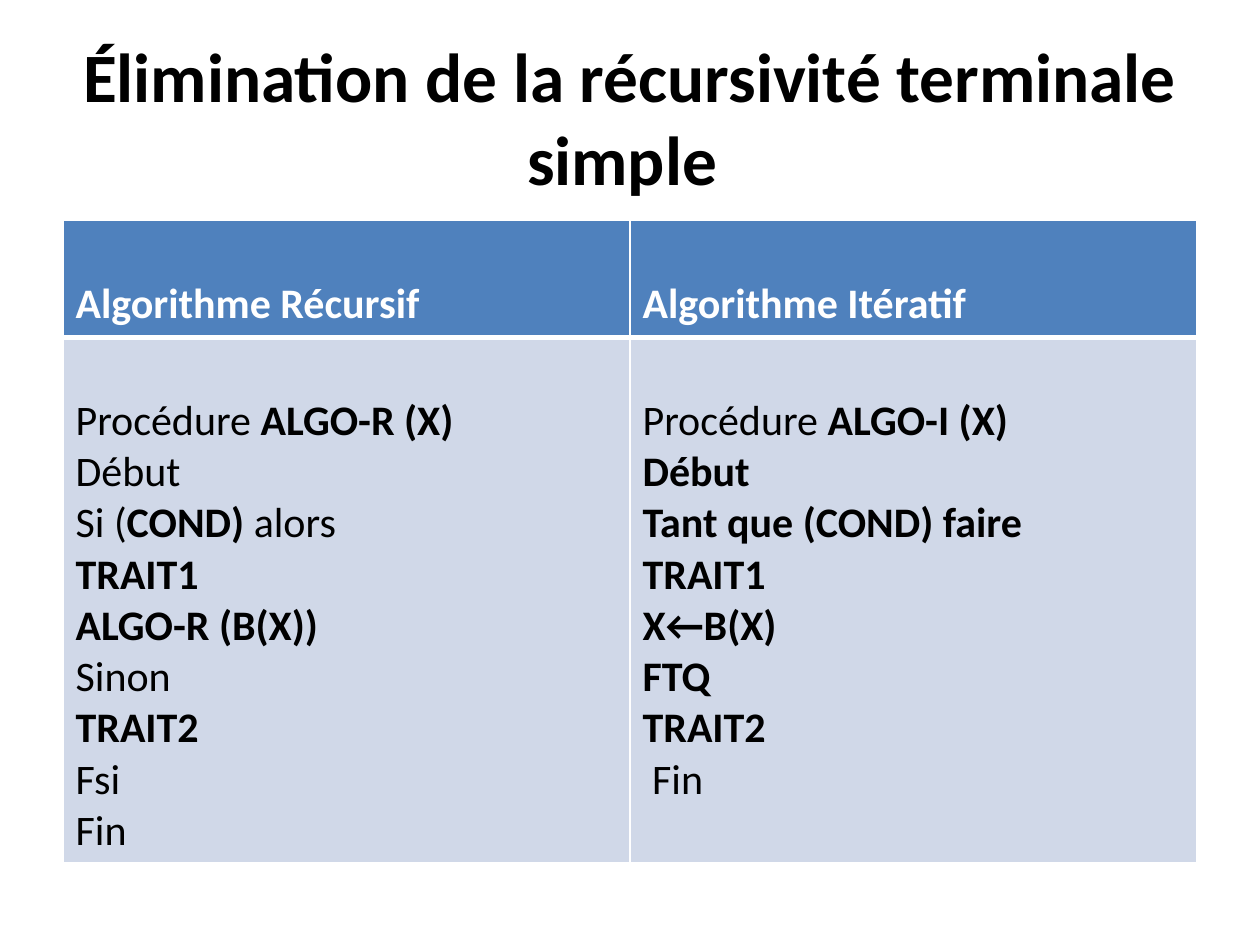
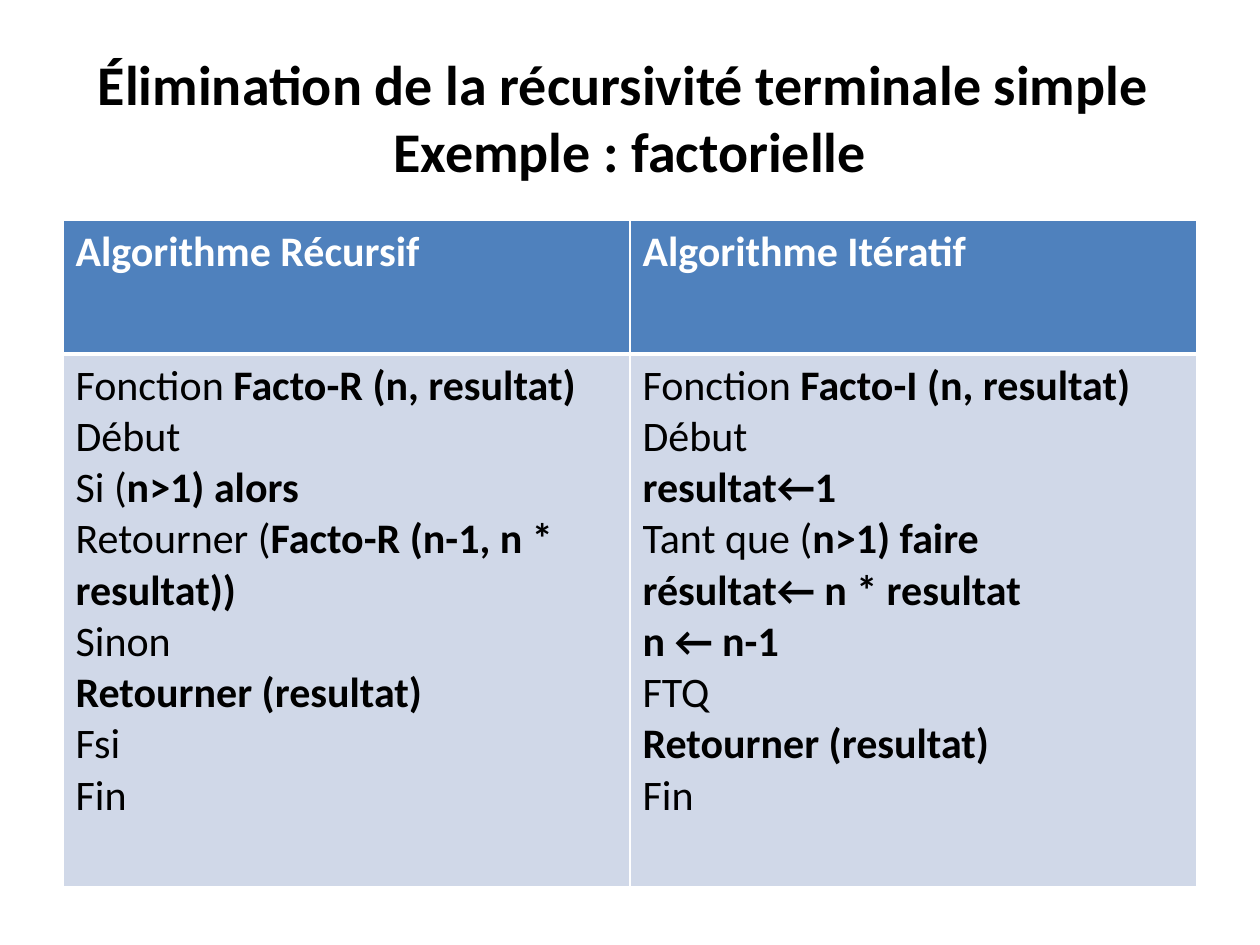
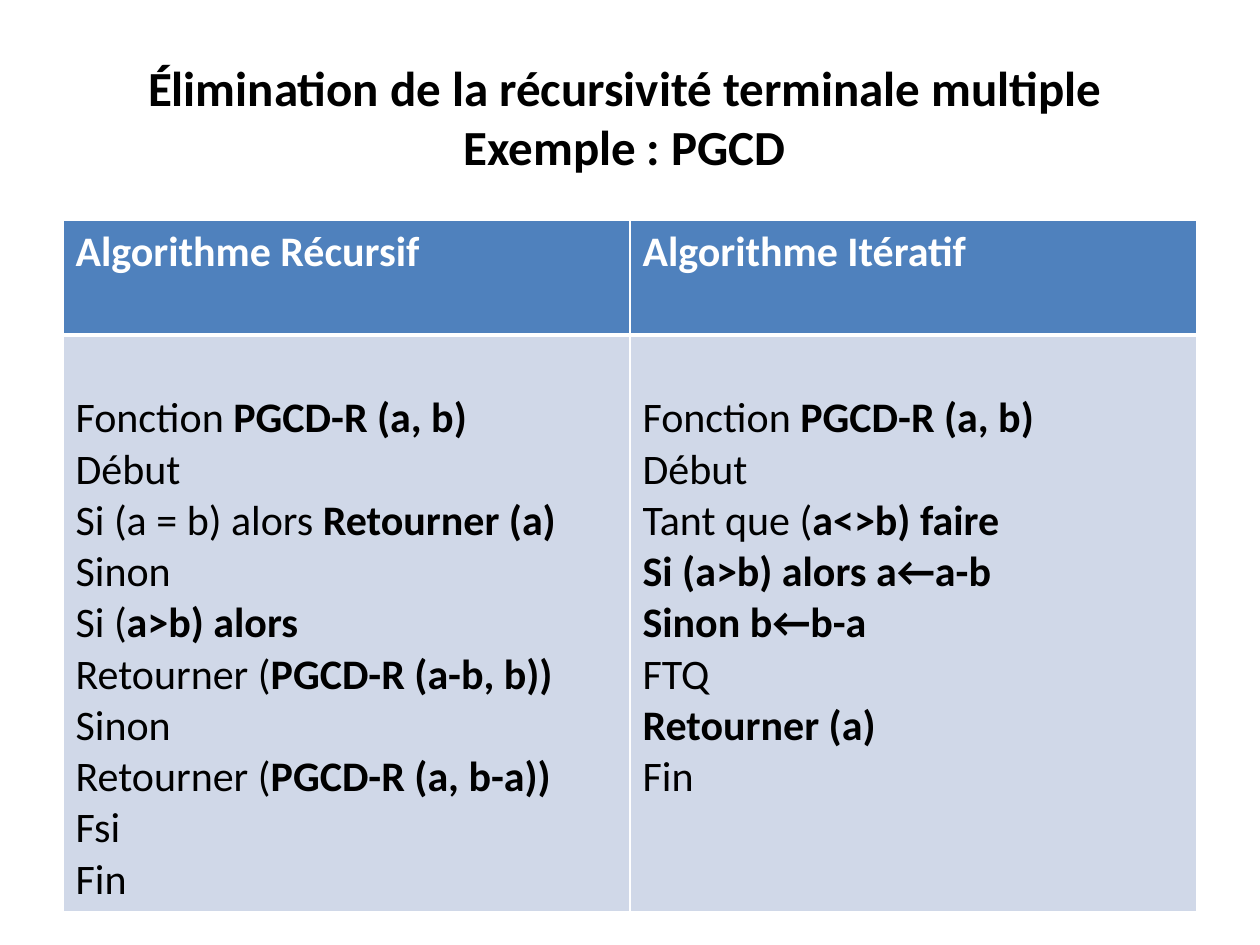
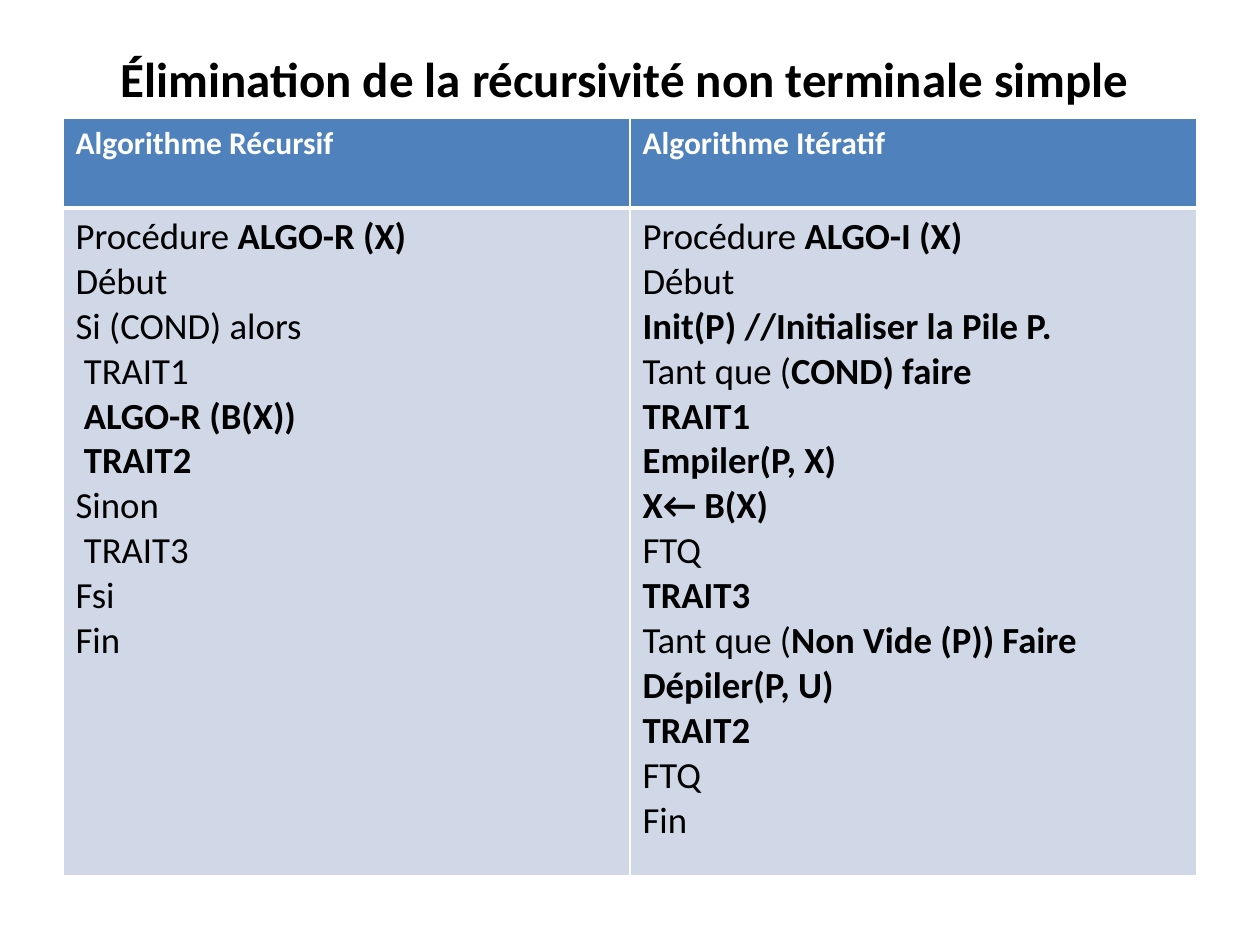
"""Build four slides that compare recursive and iterative algorithms."""
from dataclasses import dataclass

from lxml import etree
from pptx import Presentation
from pptx import util as u
from pptx.dml.color import RGBColor
from pptx.enum import text
from pptx.oxml import ns


@dataclass(frozen=True)
class Theme:
    """Colours, font and type sizes shared by the slides."""

    font: str = "Calibri"
    ink: str = "000000"
    paper: str = "FFFFFF"
    header_fill: str = "4F81BD"
    body_fill: str = "D0D8E8"
    thin: float = 1
    thick: float = 3
    title_large: float = 39.6
    title_medium: float = 32
    title_small: float = 28
    code: float = 24
    code_small: float = 21
    header_small: float = 18


@dataclass(frozen=True)
class Box:
    """A region of the slide in inches."""

    left: float
    top: float
    width: float
    height: float


@dataclass(frozen=True)
class Comparison:
    """Content and measures of one slide; bars in a line switch bold on and off."""

    title: str
    title_size: float
    recursive: tuple
    iterative: tuple
    row_heights: tuple
    header_lead: float = 0
    body_lead: float = 0
    header_size: float = 24
    code_size: float = 24
    title_height: float = 1.25
    table_top: float = 1.75


THEME = Theme()
HEADINGS = ("|Algorithme Récursif", "|Algorithme Itératif")
LEFT, TOP, WIDTH = 0.5, 0.3, 9
CELL_MARGIN = 0.05
BLANK_LINE = 0.41

COMPARISONS = (
    Comparison(
        title="Élimination de la récursivité terminale simple ",
        title_size=THEME.title_large,
        recursive=(
            "Procédure |ALGO-R (X)", "Début", "Si (|COND) |alors", "|TRAIT1",
            "|ALGO-R (B(X))", "Sinon", "|TRAIT2", "Fsi", "Fin",
        ),
        iterative=(
            "Procédure| ALGO-I (X)", "|Début", "|Tant que (COND) faire",
            "|TRAIT1", "|X←B(X)", "|FTQ", "|TRAIT2", " Fin",
        ),
        row_heights=(0.93, 4.12),
        header_lead=BLANK_LINE,
        body_lead=BLANK_LINE,
    ),
    Comparison(
        title="Élimination de la récursivité terminale simple \vExemple : factorielle",
        title_size=THEME.title_medium,
        recursive=(
            "Fonction |Facto-R (n, resultat)", "Début", "Si (|n>1) alors",
            "Retourner (|Facto-R (n-1, n * resultat))", "Sinon",
            "|Retourner (resultat)", "Fsi", "Fin",
        ),
        iterative=(
            "Fonction |Facto-I (n, resultat)", "Début", "|resultat←1",
            "Tant que (|n>1) faire", "|résultat← n * resultat", "|n ← n-1",
            "FTQ", "|Retourner (resultat)", "Fin",
        ),
        row_heights=(1.06, 4.23),
    ),
    Comparison(
        title="Élimination de la récursivité terminale multiple \vExemple : PGCD ",
        title_size=THEME.title_small,
        recursive=(
            "Fonction |PGCD-R (a, b)", "Début", "Si (a = b) alors |Retourner (a)",
            "Sinon", "Si (|a>b) alors", "Retourner (|PGCD-R (a-b, b))", "Sinon",
            "Retourner (|PGCD-R (a, b-a))", "Fsi", "Fin",
        ),
        iterative=(
            "Fonction |PGCD-R (a, b)", "Début", "Tant que (|a<>b) faire",
            "|Si (a>b) alors a←a-b", "|Sinon b←b-a", "FTQ", "|Retourner (a)", "Fin",
        ),
        row_heights=(0.91, 4.57),
        body_lead=BLANK_LINE,
    ),
    Comparison(
        title="Élimination de la récursivité non terminale simple ",
        title_size=THEME.title_small,
        recursive=(
            "Procédure |ALGO-R (X)", "Début", "Si (COND) alors", " TRAIT1",
            "| ALGO-R (B(X))", " |TRAIT2", "Sinon", " TRAIT3", "Fsi", "Fin",
        ),
        iterative=(
            "Procédure |ALGO-I (X)", "Début", "|Init(P) //Initialiser la Pile P.",
            "Tant que (|COND) faire", "|TRAIT1", "|Empiler(P, X)", "|X← B(X)",
            "FTQ", "|TRAIT3", "Tant que (|Non Vide (P)) Faire",
            "|Dépiler(P, U)", "|TRAIT2", "FTQ", "Fin",
        ),
        row_heights=(0.71, 5.3),
        header_size=THEME.header_small,
        code_size=THEME.code_small,
        title_height=0.64,
        table_top=0.94,
    ),
)


def style_span(span, size, color, bold):
    """Give a run its font, size, colour and weight."""
    span.font.name = THEME.font
    span.font.size = u.Pt(size)
    span.font.color.rgb = RGBColor.from_string(color)
    span.font.bold = bold


def add_title(page, box, words, size):
    """Place and format the title placeholder."""
    title = page.shapes.title
    title.left, title.top = u.Inches(box.left), u.Inches(box.top)
    title.width, title.height = u.Inches(box.width), u.Inches(box.height)
    frame = title.text_frame
    frame.text = words
    frame.word_wrap = True
    frame.auto_size = text.MSO_AUTO_SIZE.NONE
    frame.vertical_anchor = text.MSO_ANCHOR.MIDDLE
    for para in frame.paragraphs:
        para.alignment = text.PP_ALIGN.CENTER
        for span in para.runs:
            style_span(span, size, THEME.ink, True)


def set_borders(cell, top, bottom):
    """Draw the cell's four edges, with thin sides."""
    edges = {"lnL": THEME.thin, "lnR": THEME.thin, "lnT": top, "lnB": bottom}
    properties = cell._tc.get_or_add_tcPr()
    for position, (edge, width) in enumerate(edges.items()):
        line = etree.Element(ns.qn(f"a:{edge}"), w=str(u.Pt(width)))
        fill = etree.SubElement(line, ns.qn("a:solidFill"))
        etree.SubElement(fill, ns.qn("a:srgbClr"), val=THEME.paper)
        properties.insert(position, line)


def fill_cell(cell, lines, size, color, fill, lead):
    """Write the lines of a cell below a lead space, on a plain fill."""
    cell.fill.solid()
    cell.fill.fore_color.rgb = RGBColor.from_string(fill)
    cell.margin_top = u.Inches(CELL_MARGIN + lead)
    frame = cell.text_frame
    for index, line in enumerate(lines):
        para = frame.add_paragraph() if index else frame.paragraphs[0]
        for part, words in enumerate(line.split("|")):
            if words:
                span = para.add_run()
                span.text = words
                style_span(span, size, color, part % 2 == 1)


def add_comparison_table(page, box, content):
    """Set the recursive and iterative algorithms side by side."""
    table = page.shapes.add_table(
        2, 2, u.Inches(box.left), u.Inches(box.top),
        u.Inches(box.width), u.Inches(box.height),
    ).table
    for row, height in zip(table.rows, content.row_heights):
        row.height = u.Inches(height)
    for column, code in enumerate((content.recursive, content.iterative)):
        table.columns[column].width = u.Inches(box.width / 2)
        header, body = table.cell(0, column), table.cell(1, column)
        fill_cell(header, (HEADINGS[column],), content.header_size,
                  THEME.paper, THEME.header_fill, content.header_lead)
        set_borders(header, THEME.thin, THEME.thick)
        fill_cell(body, code, content.code_size,
                  THEME.ink, THEME.body_fill, content.body_lead)
        set_borders(body, THEME.thick, THEME.thin)


def add_comparison_slide(deck, content):
    """Add one slide with a title above a comparison table."""
    page = deck.slides.add_slide(deck.slide_layouts.get_by_name("Title Only"))
    title_box = Box(LEFT, TOP, WIDTH, content.title_height)
    table_box = Box(LEFT, content.table_top, WIDTH, sum(content.row_heights))
    add_title(page, title_box, content.title, content.title_size)
    add_comparison_table(page, table_box, content)


def main():
    """Build the deck and save it."""
    deck = Presentation()
    deck.slide_width, deck.slide_height = u.Inches(10), u.Inches(7.5)
    for content in COMPARISONS:
        add_comparison_slide(deck, content)
    deck.save("out.pptx")


if __name__ == "__main__":
    main()
